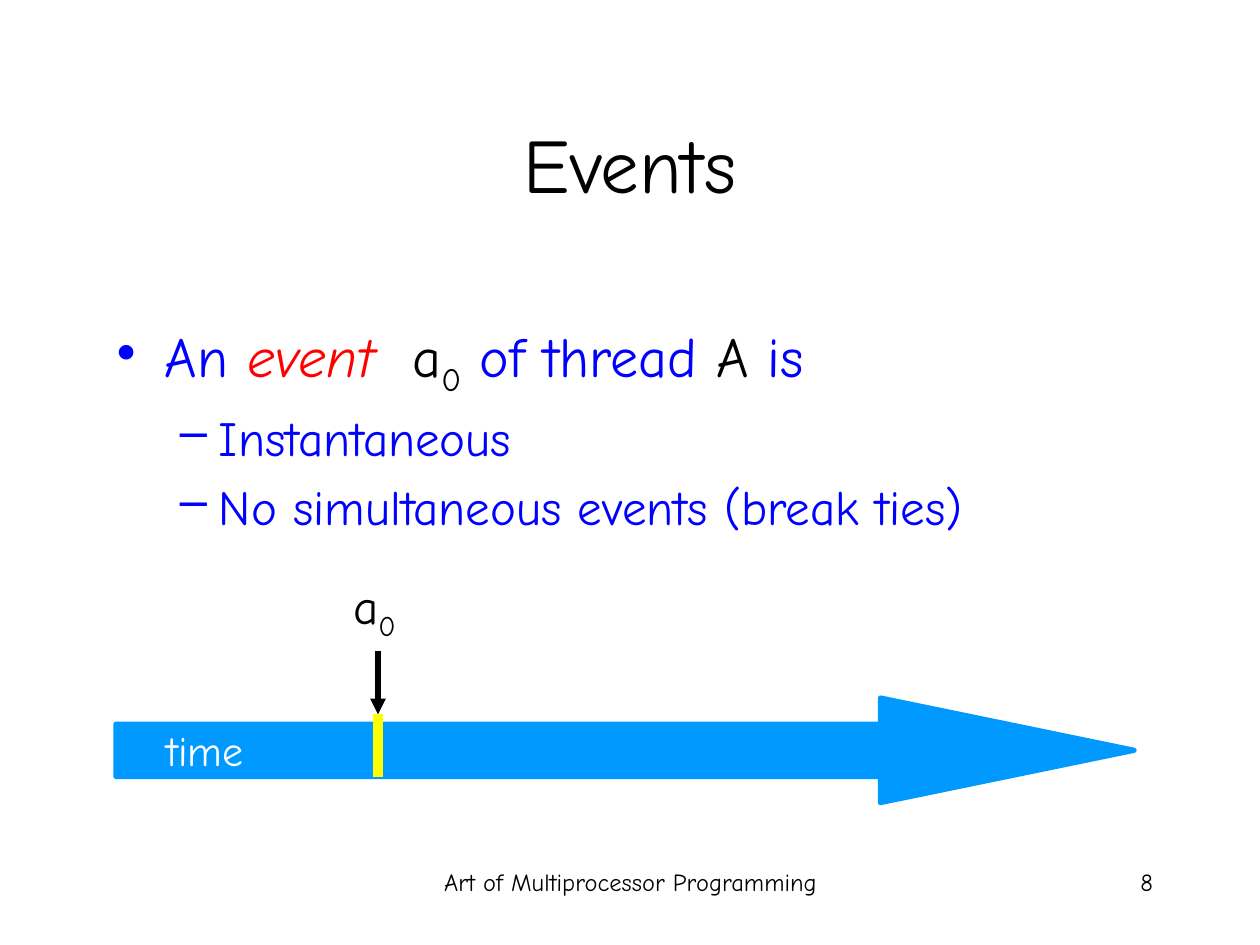
from lxml import etree
from pptx import Presentation
from pptx.dml.color import RGBColor
from pptx.enum import shapes, text
from pptx.oxml import ns
from pptx.util import Inches, Pt

FONT = "Comic Neue"
BLACK = RGBColor(0, 0, 0)
WHITE = RGBColor(255, 255, 255)
BLUE = RGBColor(0, 0, 255)
RED = RGBColor(255, 0, 0)
YELLOW = RGBColor(255, 255, 0)
SKY = RGBColor(0, 0x99, 255)

LEFT, CENTER, RIGHT = text.PP_ALIGN.LEFT, text.PP_ALIGN.CENTER, text.PP_ALIGN.RIGHT

TITLE = "Events"
EVENT_NAME = [("a", BLACK, ""), ("0", BLACK, "sub")]
BULLETS = [
    (0, [("An ", BLUE, ""), ("event  ", RED, "italic"), *EVENT_NAME,
         (" of thread ", BLUE, ""), ("A", BLACK, ""), (" is", BLUE, "")]),
    (1, [("Instantaneous", BLUE, "")]),
    (1, [("No simultaneous events (break ties)", BLUE, "")]),
]
LEVELS = [("•", 32, 0.38, 0.38), ("–", 28, 0.81, 0.31)]
FOOTERS = [
    ("Art of Multiprocessor Programming", (3.42, 6.83, 3.17, 0.5), CENTER),
    ("8", (7.17, 6.83, 2.08, 0.5), RIGHT),
]
EVENT_X = 3
MARKS = [
    (5.17, 5.67, BLACK, 3, True),
    (5.67, 6.17, YELLOW, 6, False),
]


def add_xml(parent, tag, **attributes):
    return etree.SubElement(parent, ns.qn(tag), attributes)


def add_textbox(parent, box, wrap=True):
    frame = parent.add_textbox(*map(Inches, box)).text_frame
    frame.word_wrap = wrap
    return frame


def write(paragraph, runs, size, align):
    paragraph.alignment = align
    paragraph.font.name = FONT
    paragraph.font.size = Pt(size)
    for words, color, style in runs:
        run = paragraph.add_run()
        run.text = words
        run.font.name = FONT
        run.font.size = Pt(size)
        run.font.color.rgb = color
        if style == "italic":
            run.font.italic = True
        elif style == "sub":
            run.font._element.set("baseline", "-25000")


def add_bullet(paragraph, level, runs):
    mark, size, margin, hanging = LEVELS[level]
    paragraph.level = level
    write(paragraph, runs, size, LEFT)
    props = paragraph._p.get_or_add_pPr()
    props.set("marL", str(Inches(margin)))
    props.set("indent", str(-Inches(hanging)))
    bullet = etree.Element(ns.qn("a:buChar"), char=mark)
    spacing = etree.Element(ns.qn("a:spcBef"))
    add_xml(spacing, "a:spcPct", val="20000")
    props.insert(0, spacing)
    props.insert(1, bullet)


def add_mark(slide, top, bottom, color, width, arrow):
    mark = slide.shapes.add_connector(
        shapes.MSO_CONNECTOR.STRAIGHT,
        Inches(EVENT_X), Inches(top), Inches(EVENT_X), Inches(bottom))
    mark.line.color.rgb = color
    mark.line.width = Pt(width)
    if arrow:
        add_xml(mark.line._get_or_add_ln(), "a:tailEnd", type="triangle")
    add_xml(mark._element.spPr, "a:effectLst")


def add_timeline(slide):
    timeline = slide.shapes.add_group_shape().shapes
    arrow = timeline.add_shape(
        shapes.MSO_SHAPE.RIGHT_ARROW, *map(Inches, (0.92, 5.54, 8.08, 0.83)))
    arrow.adjustments[0] = 0.5
    arrow.adjustments[1] = 2.425
    arrow.shadow.inherit = False
    arrow.fill.solid()
    arrow.fill.fore_color.rgb = SKY
    arrow.line.color.rgb = SKY
    arrow.line.width = Pt(3)
    label = add_textbox(timeline, (1.14, 5.7, 0.89, 0.5), wrap=False)
    write(label.paragraphs[0], [("time", WHITE, "")], 24, RIGHT)


def main():
    deck = Presentation()
    deck.slide_width, deck.slide_height = Inches(10), Inches(7.5)
    slide = deck.slides.add_slide(deck.slide_layouts[5])

    title = slide.shapes.title
    title.left, title.top, title.width, title.height = map(
        Inches, (0.75, 0.67, 8.5, 1.25))
    title.text_frame.auto_size = text.MSO_AUTO_SIZE.NONE
    title.text_frame.vertical_anchor = text.MSO_ANCHOR.MIDDLE
    write(title.text_frame.paragraphs[0], [(TITLE, BLACK, "")], 44, CENTER)

    for words, box, align in FOOTERS:
        footer = add_textbox(slide.shapes, box)
        write(footer.paragraphs[0], [(words, BLACK, "")], 14, align)

    add_timeline(slide)

    body = add_textbox(slide.shapes, (0.83, 2.5, 8.5, 3.58))
    for index, (level, runs) in enumerate(BULLETS):
        paragraph = body.add_paragraph() if index else body.paragraphs[0]
        add_bullet(paragraph, level, runs)

    for mark in MARKS:
        add_mark(slide, *mark)

    event = add_textbox(slide.shapes, (2.68, 4.52, 0.56, 0.57), wrap=False)
    write(event.paragraphs[0], EVENT_NAME, 28, RIGHT)

    deck.save("out.pptx")


if __name__ == "__main__":
    main()
